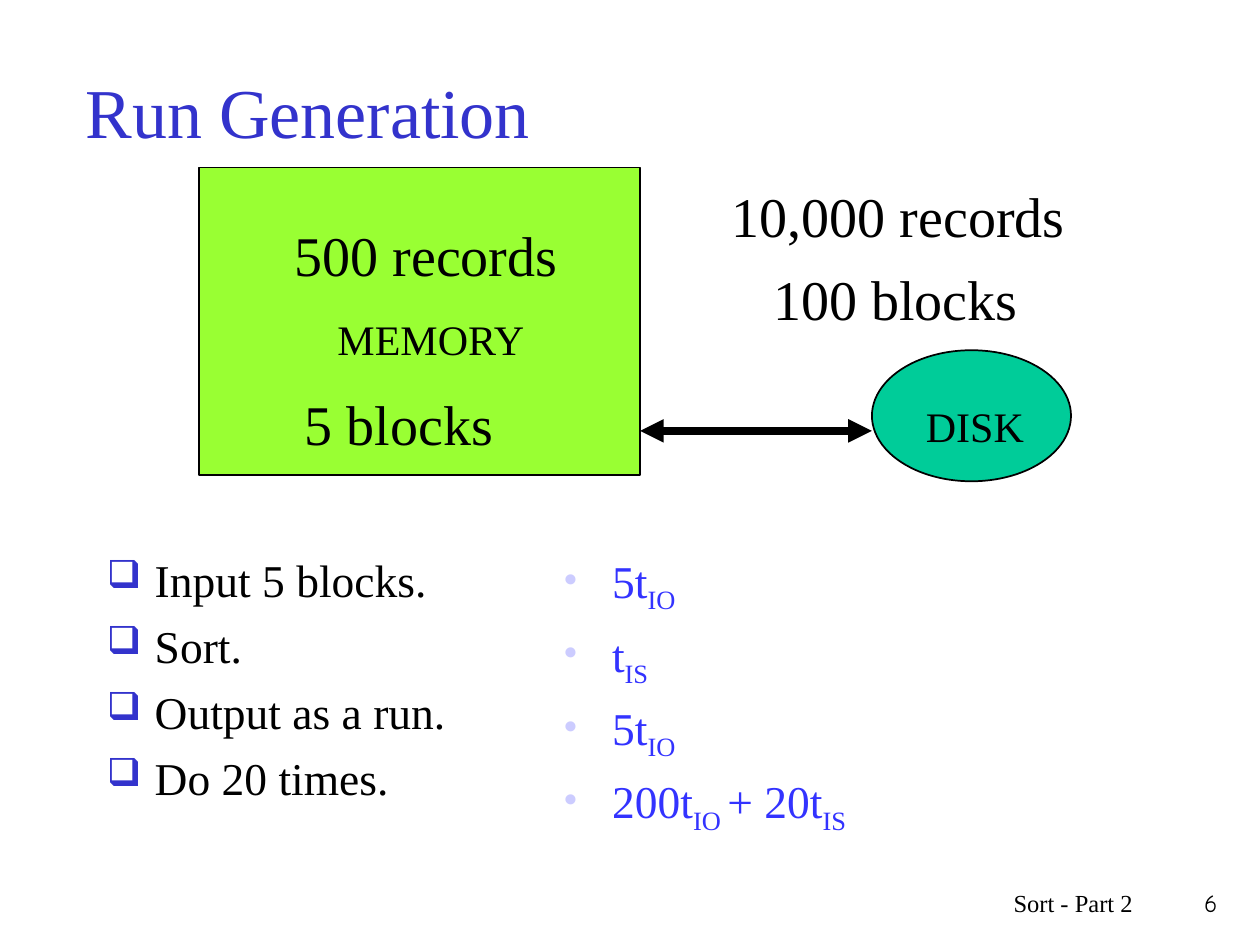
from lxml.etree import SubElement
from pptx import Presentation
from pptx.dml.color import RGBColor
from pptx.enum.shapes import MSO_CONNECTOR as Conn, MSO_SHAPE as Shape
from pptx.enum.text import MSO_ANCHOR as Anchor, PP_ALIGN as Align
from pptx.oxml.ns import qn
from pptx.util import Inches, Pt

BLACK = RGBColor(0x00, 0x00, 0x00)
NAVY = RGBColor(0x33, 0x33, 0xCC)
BLUE = RGBColor(0x33, 0x33, 0xFF)
PALE = RGBColor(0xCC, 0xCC, 0xFF)
LIME = RGBColor(0x99, 0xFF, 0x33)
TEAL = RGBColor(0x00, 0xCC, 0x99)
SERIF = "Times New Roman"
HAND = "Comic Neue"

STEPS = [["Input 5 blocks."], ["Sort."], ["Output as a run."], ["Do 20 times."]]
COSTS = [["5t", "IO"], ["t", "IS"], ["5t", "IO"], ["200t", "IO ", "+ 20t", "IS"]]
LABELS = [
    ("DISK", 24, (7.25, 3.13, 1.33, 0.5)),
    ("MEMORY", 24, (2.58, 2.44, 1.75, 0.5)),
    ("500 records", 32, (2.24, 1.7, 2.5, 0.63)),
    ("10,000 records", 32, (5.71, 1.39, 3.42, 0.63)),
    ("5 blocks", 32, (2.32, 3.04, 1.92, 0.63)),
    ("100 blocks", 32, (6.04, 2.05, 2.33, 0.63)),
]


def style(run, size, color, face=SERIF):
    """Set the font of a run."""
    run.font.name = face
    run.font.size = Pt(size)
    run.font.color.rgb = color


def add_box(slide, area):
    """Add a wrapping text box and return its text frame."""
    frame = slide.shapes.add_textbox(*map(Inches, area)).text_frame
    frame.word_wrap = True
    return frame


def add_label(slide, text, size, area, color=BLACK, face=SERIF, align=Align.LEFT):
    """Add a single line of text and return its text frame."""
    frame = add_box(slide, area)
    frame.text = text
    para = frame.paragraphs[0]
    para.alignment = align
    style(para.runs[0], size, color, face)
    return frame


def add_bullet(para, mark, color):
    """Give a paragraph a hanging coloured bullet."""
    props = para._p.get_or_add_pPr()
    props.set("marL", str(Inches(0.38)))
    props.set("indent", str(Inches(-0.38)))
    SubElement(SubElement(props, qn("a:buClr")), qn("a:srgbClr"), val=str(color))
    SubElement(props, qn("a:buSzPct"), val="85000")
    SubElement(props, qn("a:buChar"), char=mark)


def add_list(slide, items, area, mark, tint, color):
    """Add a bulleted list whose every second piece is a subscript."""
    frame = add_box(slide, area)
    for row, parts in enumerate(items):
        para = frame.add_paragraph() if row else frame.paragraphs[0]
        add_bullet(para, mark, tint)
        if row:
            para.space_before = Pt(6.5)
        for i, part in enumerate(parts):
            run = para.add_run()
            run.text = part
            style(run, 26, color)
            if i % 2:
                run._r.get_or_add_rPr().set("baseline", "-25000")


def add_block(slide, kind, area, fill):
    """Add a filled shape with a thin black outline."""
    shape = slide.shapes.add_shape(kind, *map(Inches, area))
    shape.shadow.inherit = False
    shape.fill.solid()
    shape.fill.fore_color.rgb = fill
    shape.line.color.rgb = BLACK
    shape.line.width = Pt(1)


def add_arrow(slide, ends):
    """Add a thick black arrow with a head at both ends."""
    arrow = slide.shapes.add_connector(Conn.STRAIGHT, *map(Inches, ends))
    arrow.line.color.rgb = BLACK
    arrow.line.width = Pt(4.5)
    line = arrow.line._get_or_add_ln()
    for tag in ("a:headEnd", "a:tailEnd"):
        SubElement(line, qn(tag), type="triangle")
    SubElement(arrow._element.spPr, qn("a:effectLst"))


def main():
    """Build the slide and save it."""
    deck = Presentation()
    deck.slide_width, deck.slide_height = Inches(10), Inches(7.5)
    slide = deck.slides.add_slide(deck.slide_layouts[6])

    title = add_label(slide, "Run Generation", 40, (0.58, 0.25, 8.5, 1.25), NAVY)
    title.vertical_anchor = Anchor.MIDDLE
    add_list(slide, STEPS, (0.75, 4.33, 4.17, 2.42), "❑", NAVY, BLACK)
    add_list(slide, COSTS, (4.38, 4.34, 4.17, 2.25), "•", PALE, BLUE)

    add_block(slide, Shape.RECTANGLE, (1.58, 1.33, 3.5, 2.44), LIME)
    add_block(slide, Shape.OVAL, (6.92, 2.78, 1.58, 1.04), TEAL)
    add_arrow(slide, (5.08, 3.42, 6.92, 3.42))
    for text, size, area in LABELS:
        add_label(slide, text, size, area)

    add_label(slide, "6", 14, (9.08, 7, 0.68, 0.5), face=HAND, align=Align.RIGHT)
    add_label(slide, "Sort - Part 2", 14, (5.92, 7, 3.17, 0.5), align=Align.RIGHT)
    deck.save("out.pptx")


if __name__ == "__main__":
    main()
